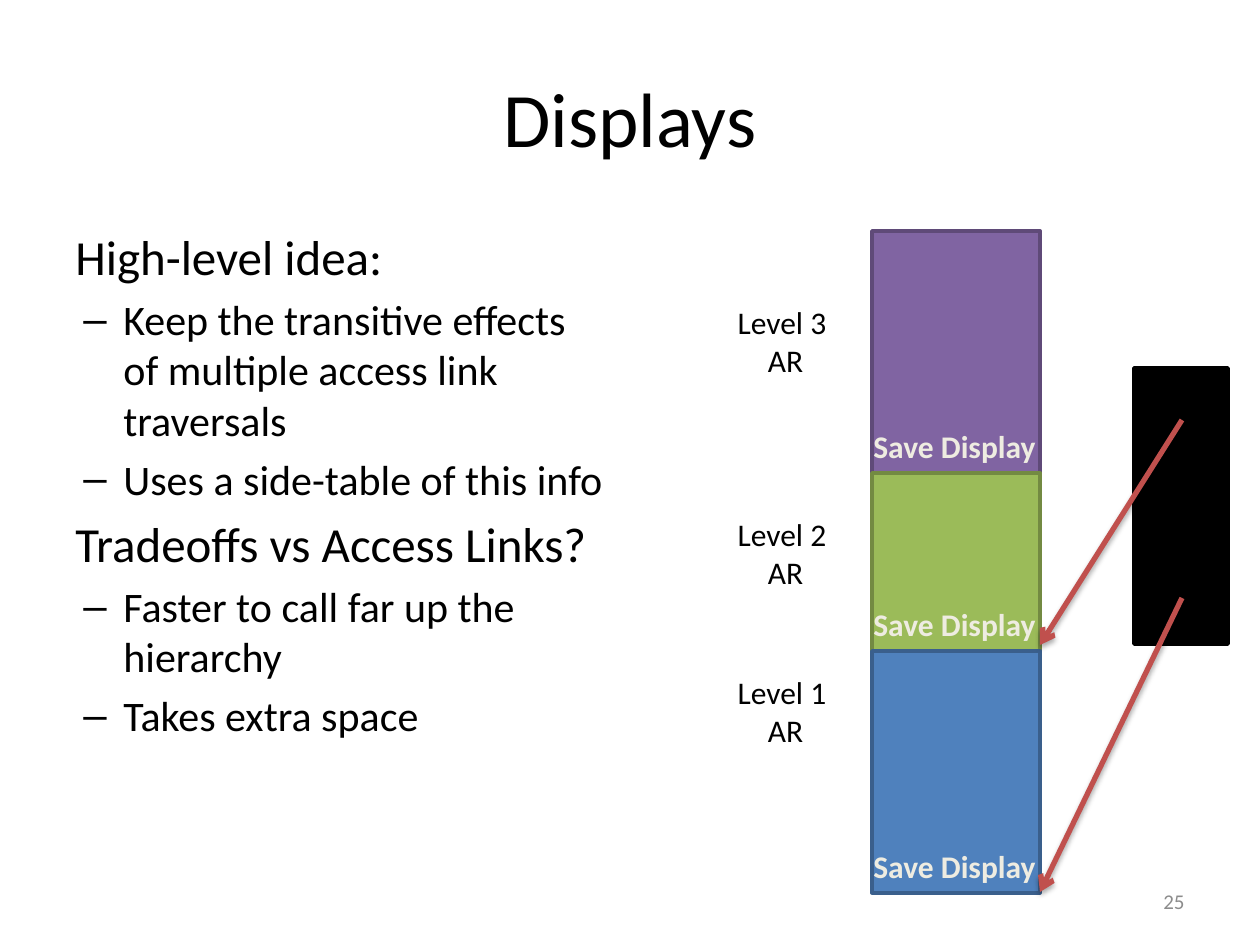
from lxml.etree import SubElement
from pptx import Presentation
from pptx.dml.color import RGBColor
from pptx.enum.shapes import MSO_CONNECTOR, MSO_SHAPE
from pptx.enum.text import MSO_ANCHOR, PP_ALIGN
from pptx.oxml import parse_xml
from pptx.oxml.ns import nsdecls, qn
from pptx.util import Emu, Pt

COLORS = {
    "black": "000000", "grey": "8C8C8C", "cream": "EEECE1", "red": "C0504D",
    "purple": "8064A2", "purple_edge": "5F4A78",
    "green": "9BBB59", "green_edge": "738A42",
    "blue": "4F81BD", "blue_edge": "3A5F8C",
}
TITLE = "Displays"
BODY = [
    (0, "High-level idea:"),
    (1, "Keep the transitive effects of multiple access link traversals"),
    (1, "Uses a side-table of this info"),
    (0, "Tradeoffs vs Access Links?"),
    (1, "Faster to call far up the hierarchy"),
    (1, "Takes extra space"),
]
RECORDS = [
    ("Level 3", "purple", 242, 297),
    ("Level 2", "green", 178, 509),
    ("Level 1", "blue", 242, 667),
]
SAVE_TEXT = "Save Display"
STACK_LEFT, STACK_TOP, STACK_WIDTH = 872, 231, 168
TABLE_LEFT, TABLE_TOP, ENTRY_WIDTH, ENTRY_HEIGHT, ENTRIES = 1134, 368, 94, 92, 3
ARROWS = [(1182, 420, 1040, 645), (1182, 598, 1040, 892)]
SHADOW = (
    f'<a:effectLst {nsdecls("a")}><a:outerShdw blurRad="40000" dist="23000" '
    'dir="5400000" rotWithShape="0"><a:srgbClr val="000000">'
    '<a:alpha val="35000"/></a:srgbClr></a:outerShdw></a:effectLst>'
)


def px(*values):
    return [Emu(round(v * 914400 / 126)) for v in values]


def rgb(name):
    return RGBColor.from_string(COLORS[name])


def style(p, size, color="black", align=PP_ALIGN.LEFT, bold=False):
    p.alignment = align
    for r in p.runs:
        r.font.name = "Calibri"
        r.font.size = Pt(size)
        r.font.bold = bold
        r.font.color.rgb = rgb(color)


def add_text(s, box, text, size, wrap=False, anchor=MSO_ANCHOR.TOP, **kw):
    tf = s.shapes.add_textbox(*px(*box)).text_frame
    tf.text = text
    tf.word_wrap = wrap
    tf.vertical_anchor = anchor
    for p in tf.paragraphs:
        style(p, size, **kw)
    return tf


def add_box(s, box, fill, edge):
    sp = s.shapes.add_shape(MSO_SHAPE.RECTANGLE, *px(*box))
    sp.shadow.inherit = False
    sp.fill.solid()
    sp.fill.fore_color.rgb = rgb(fill)
    sp.line.color.rgb = rgb(edge)
    sp.line.width = Pt(2)


def add_body(s):
    text = "\n".join(line for _, line in BODY)
    tf = add_text(s, (63, 220, 557, 624), text, 28, wrap=True)
    for p, (level, _) in zip(tf.paragraphs, BODY):
        size = 24 if level else 28
        style(p, size)
        p.space_before = Pt(size * 0.2)
        if level:
            p.level = level
            pPr = p._p.get_or_add_pPr()
            left, indent = px(48, -40)
            pPr.set("marL", str(left))
            pPr.set("indent", str(indent))
            SubElement(pPr, qn("a:buFont")).set("typeface", "Arial")
            SubElement(pPr, qn("a:buChar")).set("char", "–")


def add_arrow(s, ends):
    c = s.shapes.add_connector(MSO_CONNECTOR.STRAIGHT, *px(*ends))
    c.line.color.rgb = rgb("red")
    c.line.width = Pt(3)
    SubElement(c.line._get_or_add_ln(), qn("a:tailEnd")).set("type", "arrow")
    c._element.spPr.append(parse_xml(SHADOW))


def main():
    prs = Presentation()
    prs.slide_width, prs.slide_height = px(1260, 945)
    s = prs.slides.add_slide(prs.slide_layouts[5])

    title = s.shapes.title
    title.left, title.top, title.width, title.height = px(63, 38, 1134, 157)
    title.text_frame.text = TITLE
    title.text_frame.vertical_anchor = MSO_ANCHOR.MIDDLE
    style(title.text_frame.paragraphs[0], 44, align=PP_ALIGN.CENTER)

    add_body(s)
    add_text(s, (903, 876, 294, 50), "25", 12, wrap=True,
             anchor=MSO_ANCHOR.MIDDLE, color="grey", align=PP_ALIGN.RIGHT)

    top = STACK_TOP
    for level, color, height, label_top in RECORDS:
        add_box(s, (STACK_LEFT, top, STACK_WIDTH, height), color, color + "_edge")
        top += height
        add_text(s, (724, label_top, 116, 89), level + "\n AR", 18,
                 align=PP_ALIGN.CENTER)
        add_text(s, (861, top - 52, 189, 50), SAVE_TEXT, 18,
                 color="cream", bold=True)

    for i in range(ENTRIES):
        add_box(s, (TABLE_LEFT, TABLE_TOP + i * ENTRY_HEIGHT,
                    ENTRY_WIDTH, ENTRY_HEIGHT), "black", "black")
    for ends in ARROWS:
        add_arrow(s, ends)

    prs.save("out.pptx")


if __name__ == "__main__":
    main()
